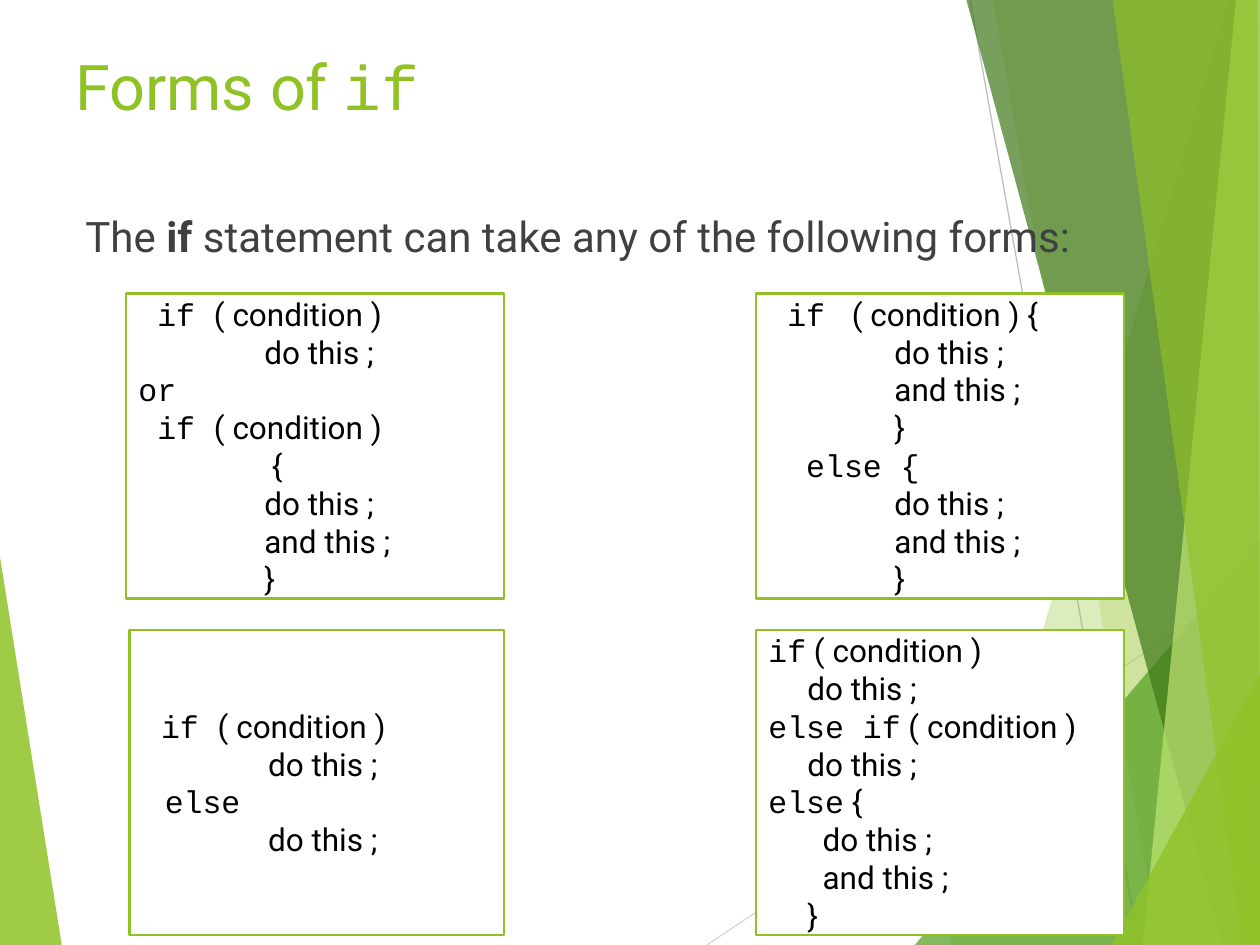
from lxml import etree
from pptx import Presentation
from pptx import util as u
from pptx.dml.color import RGBColor
from pptx.enum import shapes, text
from pptx.oxml.ns import qn

CODE, BODY = "Courier New", "Roboto"
GREEN, BLACK, GRAY, WHITE = "90C226", "000000", "404040", "FFFFFF"
WIDTH, HEIGHT = 10, 7.5

# Colour, opacity in percent, corners in inches
FACETS = [
    (GREEN, 85, [(0, 4.42), (0.49, 7.5), (0, 7.5)]),
    (GREEN, 30, [(9.75, 0), (7.54, 7.5), (10, 7.5), (10, 0)]),
    (GREEN, 20, [(7.88, 0), (9.2, 7.5), (10, 7.5), (10, 0)]),
    ("54A021", 72, [(7.26, 7.5), (10, 4.29), (10, 7.5)]),
    ("3F7819", 70, [(7.67, 0), (9.7, 7.5), (10, 7.5), (10, 0)]),
    ("C0E474", 70, [(9.81, 0), (9.07, 7.5), (10, 7.5), (10, 0)]),
    (GREEN, 65, [(8.83, 0), (9.86, 7.5), (10, 7.5), (9.98, 0)]),
    (GREEN, 80, [(8.82, 7.5), (10, 5.35), (10, 7.5)]),
]
RAYS = [("D9D9D9", (5.61, 7.5), (10, 4.57)), ("BFBFBF", (7.7, 0), (9.04, 7.5))]

# A line of code is its indent in inches, then its (wording, font) runs
CONDITION = (0.15, ("if ", CODE), ("( condition )", BODY))
DO_THIS = (1, ("do this ;", BODY))
AND_THIS = (1, ("and this ;", BODY))
CLOSE = (1, ("}", BODY))
CHAIN_DO = (0.31, ("do this ;", BODY))

FORMS = [
    ((1, 2.33, 3, 2.42), [
        CONDITION, DO_THIS, (0, ("or", CODE)), CONDITION,
        (1.06, ("{", BODY)), DO_THIS, AND_THIS, CLOSE]),
    ((1.03, 5, 2.97, 2.42), [
        CONDITION, DO_THIS, (0.18, ("else", CODE)), DO_THIS]),
    ((6, 2.33, 2.92, 2.42), [
        (0.15, ("if ", CODE), (" ( condition ) {", BODY)),
        DO_THIS, AND_THIS, CLOSE,
        (0.3, ("else {", CODE)), DO_THIS, AND_THIS, CLOSE]),
    ((6, 5, 2.92, 2.42), [
        (0, ("if", CODE), (" ( condition )", BODY)), CHAIN_DO,
        (0, ("else if", CODE), (" ( condition )", BODY)), CHAIN_DO,
        (0, ("else", CODE), (" {", BODY)),
        (0.43, ("do this ;", BODY)), (0.43, ("and this ;", BODY)),
        (0.31, ("}", BODY))]),
]


def rgb(value):
    return RGBColor.from_string(value)


def inches(values):
    return [u.Inches(value) for value in values]


def set_fill(shape, color, opacity=100):
    shape.fill.solid()
    shape.fill.fore_color.rgb = rgb(color)
    if opacity < 100:
        tint = shape.fill._xPr.find(qn("a:solidFill"))[0]
        etree.SubElement(tint, qn("a:alpha"), val=str(opacity * 1000))


def add_span(para, wording, font, size, color, bold=False):
    span = para.add_run()
    span.text = wording
    span.font.name, span.font.size, span.font.bold = font, u.Pt(size), bold
    span.font.color.rgb = rgb(color)


def set_indent(para, indent):
    properties = para._p.get_or_add_pPr()
    properties.set("marL", str(u.Inches(indent)))
    properties.set("indent", "0")


def add_ray(page, color, start, end):
    ray = page.shapes.add_connector(
        shapes.MSO_CONNECTOR.STRAIGHT, *inches(start + end))
    ray.line.color.rgb = rgb(color)
    ray.line.width = u.Pt(0.75)
    etree.SubElement(ray._element.spPr, qn("a:effectLst"))


def add_facet(page, color, opacity, corners):
    start, *others = [tuple(inches(corner)) for corner in corners]
    builder = page.shapes.build_freeform(*start)
    builder.add_line_segments(others, close=True)
    facet = builder.convert_to_shape()
    facet.shadow.inherit = False
    set_fill(facet, color, opacity)
    facet.line.fill.background()


def add_backdrop(page):
    left_facet, *right_facets = FACETS
    add_facet(page, *left_facet)
    for ray in RAYS:
        add_ray(page, *ray)
    for facet in right_facets:
        add_facet(page, *facet)


def add_line_of_text(page, box, spans, size, color):
    """Place a one-paragraph text box and return its paragraph."""
    frame = page.shapes.add_textbox(*inches(box)).text_frame
    frame.word_wrap = True
    para = frame.paragraphs[0]
    for wording, font, bold in spans:
        add_span(para, wording, font, size, color, bold)
    return para


def add_title(page, box):
    add_line_of_text(
        page, box, [("Forms of ", BODY, False), ("if", CODE, False)], 36, GREEN)


def add_intro(page, box):
    para = add_line_of_text(page, box, [
        ("The ", BODY, False), ("if ", BODY, True),
        ("statement can take any of the following forms:", BODY, False),
    ], 24, GRAY)
    para.line_spacing = 0.9
    para.space_before = u.Pt(10)
    set_indent(para, 0.08)


def add_form(page, box, lines):
    panel = page.shapes.add_shape(
        shapes.MSO_SHAPE.RECTANGLE, *inches(box))
    panel.shadow.inherit = False
    set_fill(panel, WHITE)
    panel.line.color.rgb = rgb(GREEN)
    panel.line.width = u.Pt(1.5)
    frame = panel.text_frame
    frame.word_wrap = True
    frame.vertical_anchor = text.MSO_ANCHOR.MIDDLE
    for number, (indent, *spans) in enumerate(lines):
        para = frame.add_paragraph() if number else frame.paragraphs[0]
        para.alignment = text.PP_ALIGN.LEFT
        set_indent(para, indent)
        for wording, font in spans:
            add_span(para, wording, font, 18, BLACK)


def main():
    deck = Presentation()
    deck.slide_width, deck.slide_height = inches((WIDTH, HEIGHT))
    page = deck.slides.add_slide(deck.slide_layouts[6])
    add_backdrop(page)
    add_title(page, (0.5, 0.33, 9, 1.25))
    add_intro(page, (0.5, 1.67, 9, 0.67))
    for box, lines in FORMS:
        add_form(page, box, lines)
    deck.save("out.pptx")


if __name__ == "__main__":
    main()
